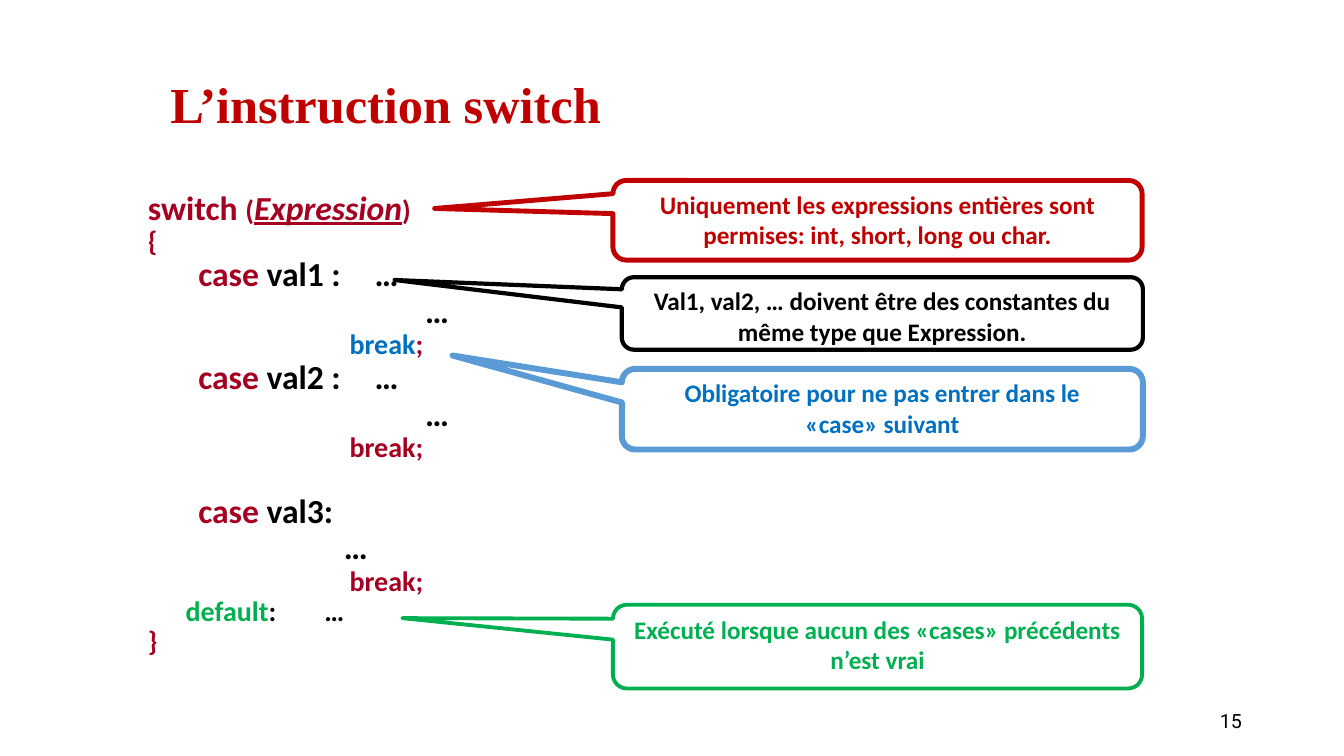
from pptx import Presentation
from pptx.dml.color import RGBColor
from pptx.enum import shapes, text
from pptx.util import Pt

THEME = {
    "colors": {"title": "C00000", "keyword": "A50021", "plain": "000000",
               "break": "0070C0", "frame": "5B9BD5", "default": "00B050", "paper": "FFFFFF"},
    "fonts": {"title": "Times New Roman", "body": "Calibri", "number": "Roboto"},
    "sizes": {"title": 36, "code": 24, "small": 20, "note": 18, "number": 14},
}

TITLE = "L’instruction switch"
TITLE_BOX = (114.5, 24.5, 828, 104.4)
NUMBER = "15"
NUMBER_BOX = (678.2, 500.4, 216, 28.8)
CODE_BOX = (98.6, 133.2, 347.8, 324)

# Left margin and first-line indent of each kind of code line
INDENTS = {"outer": (18, -18), "case": (54, -18), "dots": (198, 0),
           "near dots": (140, 0), "break": (162, -18), "default": (18, 9)}
BREAK = ("break", [("break;", "small", "keyword")])
DOTS = [("…", "code", "plain")]


def case(label):
    return "case", [("case", "code", "keyword"), (label, "code", "plain")]


# (indent, runs); a run is text, size, colour and, if needed, emphasis
CODE = [
    ("outer", [("switch ", "code", "keyword"), ("(", "small", "keyword"),
               ("Expression", "code", "keyword", True), (")", "small", "keyword")]),
    ("outer", [("{", "small", "keyword")]),
    case(" val1 :\t…"),
    ("dots", DOTS),
    ("break", [("break", "small", "break"), (";", "small", "keyword")]),
    case(" val2 :\t…"),
    ("dots", DOTS),
    BREAK,
    case(" val3:"),
    ("near dots", DOTS),
    BREAK,
    ("default", [("default", "small", "default"), (":\t…", "small", "plain")]),
    ("outer", [("}", "small", "keyword")]),
]
GAP_BEFORE = {8: 22}  # the third case stands apart

# (box, tail tip, line width, line colour, text colour, paragraphs)
CALLOUTS = [
    ((437.8, 128.9, 378, 56.9), (-0.837, -0.148), 3.5, "title", "title",
     ["Uniquement les expressions entières sont permises: int, short, long ou char."]),
    ((444.2, 198, 372.2, 51.8), (-0.936, -0.461), 3, "plain", "plain",
     ["Val1, val2, … doivent être des constantes du même type que Expression."]),
    ((437.8, 432, 378, 59.8), (-0.898, -0.34), 2.75, "default", "default",
     ["Exécuté lorsque aucun des «cases» précédents n’est vrai"]),
    ((444.2, 263.5, 372.2, 57.6), (-0.825, -0.666), 4.25, "frame", "break",
     ["Obligatoire pour ne pas entrer dans le", "«case» suivant"]),
]


def color(name):
    return RGBColor.from_string(THEME["colors"][name])


def points(values):
    return [Pt(value) for value in values]


def add_run(paragraph, words, size, ink, font="body", bold=True, emphasis=False):
    run = paragraph.add_run()
    run.text = words
    run.font.name = THEME["fonts"][font]
    run.font.size = Pt(THEME["sizes"][size])
    run.font.color.rgb = color(ink)
    run.font.bold = bold
    if emphasis:
        run.font.italic = run.font.underline = True


def prepare(frame, anchor):
    frame.word_wrap = True
    frame.auto_size = text.MSO_AUTO_SIZE.NONE
    frame.vertical_anchor = anchor


def paragraph_at(frame, index):
    return frame.add_paragraph() if index else frame.paragraphs[0]


def add_title(slide):
    title = slide.shapes.title
    title.left, title.top, title.width, title.height = points(TITLE_BOX)
    prepare(title.text_frame, text.MSO_ANCHOR.MIDDLE)
    heading = title.text_frame.paragraphs[0]
    heading.alignment = text.PP_ALIGN.LEFT
    heading.line_spacing = 0.9
    add_run(heading, TITLE, "title", "title", "title")


def add_number(slide):
    frame = slide.shapes.add_textbox(*points(NUMBER_BOX)).text_frame
    prepare(frame, text.MSO_ANCHOR.MIDDLE)
    frame.paragraphs[0].alignment = text.PP_ALIGN.RIGHT
    add_run(frame.paragraphs[0], NUMBER, "number", "plain", "number", bold=False)


def add_code(slide):
    frame = slide.shapes.add_textbox(*points(CODE_BOX)).text_frame
    prepare(frame, text.MSO_ANCHOR.TOP)
    for index, (kind, runs) in enumerate(CODE):
        line = paragraph_at(frame, index)
        line.line_spacing = 0.9
        line.space_before = Pt(GAP_BEFORE.get(index, 0))
        margin, indent = points(INDENTS[kind])
        properties = line._p.get_or_add_pPr()
        properties.set("marL", str(margin))
        properties.set("indent", str(indent))
        for words, size, ink, *emphasis in runs:
            add_run(line, words, size, ink, emphasis=bool(emphasis))


def add_callout(slide, box, tip, width, outline, ink, paragraphs):
    callout = slide.shapes.add_shape(
        shapes.MSO_SHAPE.ROUNDED_RECTANGULAR_CALLOUT, *points(box))
    callout.adjustments[0], callout.adjustments[1] = tip
    callout.shadow.inherit = False
    callout.fill.solid()
    callout.fill.fore_color.rgb = color("paper")
    callout.line.color.rgb = color(outline)
    callout.line.width = Pt(width)
    prepare(callout.text_frame, text.MSO_ANCHOR.TOP)
    for index, words in enumerate(paragraphs):
        paragraph = paragraph_at(callout.text_frame, index)
        paragraph.alignment = text.PP_ALIGN.CENTER
        add_run(paragraph, words, "note", ink)


def main():
    deck = Presentation()
    deck.slide_width, deck.slide_height = Pt(960), Pt(540)
    slide = deck.slides.add_slide(deck.slide_layouts[5])
    add_number(slide)
    add_title(slide)
    add_code(slide)
    for callout in CALLOUTS:
        add_callout(slide, *callout)
    deck.save("out.pptx")


if __name__ == "__main__":
    main()
